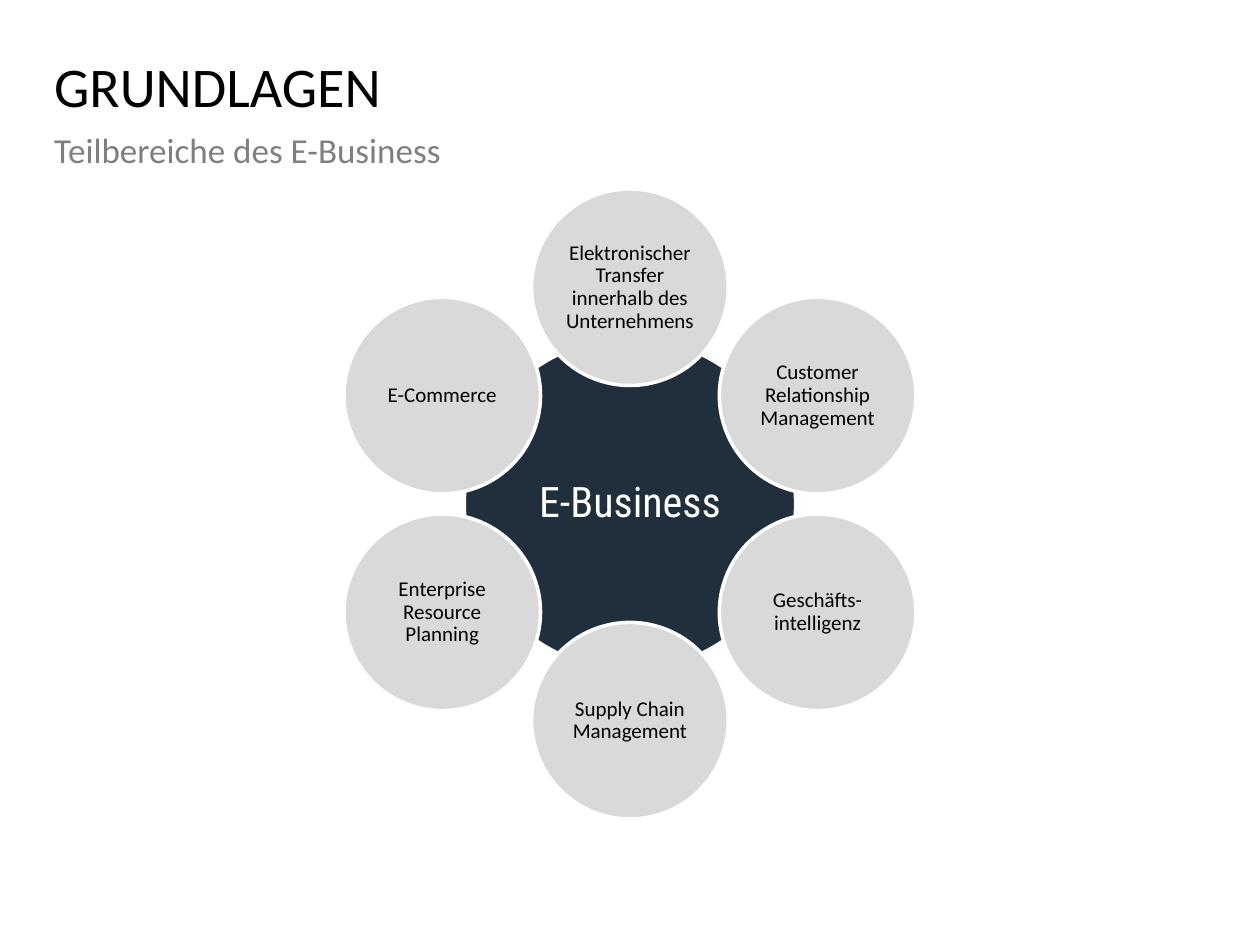
"""Build the slide "Grundlagen": a hub circle with six subareas of e-business around it."""
from math import cos, pi, sin

from pptx import Presentation
from pptx.dml.color import RGBColor
from pptx.enum.shapes import MSO_SHAPE as Shape
from pptx.enum.text import MSO_ANCHOR as Anchor, PP_ALIGN as Align
from pptx.util import Inches, Pt

TITLE = "GRUNDLAGEN"
SUBTITLE = "Teilbereiche des E-Business"
HUB = "E-Business"
SUBAREAS = [
    "Elektronischer Transfer innerhalb des Unternehmens",
    "Customer Relationship Management",
    "Geschäfts-intelligenz",
    "Supply Chain Management",
    "Enterprise Resource Planning",
    "E-Commerce",
]

COLORS = {"title": "000000", "subtitle": "7F7F7F", "hub": "212E3C",
          "subarea": "D9D9D9", "white": "FFFFFF"}
BODY_FONT, HUB_FONT = "Calibri", "Roboto Condensed"
WIDTH, HEIGHT = 10, 7.5
MARGIN, HEADING_WIDTH = 0.43, 9.13
CENTER_X, CENTER_Y = WIDTH / 2, 4
HUB_SIZE, SUBAREA_SIZE, RING_RADIUS = 2.63, 1.56, 1.72


def color(name):
    return RGBColor.from_string(COLORS[name])


def write(shape, text, size, ink, font=BODY_FONT, inset=0, after=0,
          align=Align.LEFT, anchor=Anchor.TOP):
    frame = shape.text_frame
    frame.word_wrap = True
    frame.vertical_anchor = anchor
    frame.margin_left = frame.margin_right = Inches(inset)
    frame.margin_top = frame.margin_bottom = Inches(inset)
    para = frame.paragraphs[0]
    para.alignment = align
    para.line_spacing = 0.9
    para.space_after = Pt(after)
    span = para.add_run()
    span.text = text
    span.font.name = font
    span.font.size = Pt(size)
    span.font.color.rgb = color(ink)


def add_heading(page, top, height, text, size, ink, after=0):
    box = page.shapes.add_textbox(
        Inches(MARGIN), Inches(top), Inches(HEADING_WIDTH), Inches(height))
    write(box, text, size, ink, after=after)


def add_circle(page, x, y, diameter, fill, text, size, ink, **style):
    circle = page.shapes.add_shape(
        Shape.OVAL, Inches(x - diameter / 2), Inches(y - diameter / 2),
        Inches(diameter), Inches(diameter))
    circle.shadow.inherit = False
    circle.fill.solid()
    circle.fill.fore_color.rgb = color(fill)
    circle.line.color.rgb = color("white")
    circle.line.width = Pt(2)
    write(circle, text, size, ink, align=Align.CENTER, anchor=Anchor.MIDDLE, **style)


def main():
    deck = Presentation()
    deck.slide_width, deck.slide_height = Inches(WIDTH), Inches(HEIGHT)
    page = deck.slides.add_slide(deck.slide_layouts[6])

    add_heading(page, 0.47, 0.59, TITLE, 32, "title")
    add_heading(page, 1.06, 0.59, SUBTITLE, 20, "subtitle", after=10)

    add_circle(page, CENTER_X, CENTER_Y, HUB_SIZE, "hub", HUB, 24, "white",
               font=HUB_FONT, inset=0.03)
    for index, subarea in enumerate(SUBAREAS):
        angle = 2 * pi * index / len(SUBAREAS)
        add_circle(page, CENTER_X + RING_RADIUS * sin(angle),
                   CENTER_Y - RING_RADIUS * cos(angle), SUBAREA_SIZE,
                   "subarea", subarea, 12, "title", inset=0.02, after=6)

    deck.save("out.pptx")


if __name__ == "__main__":
    main()
